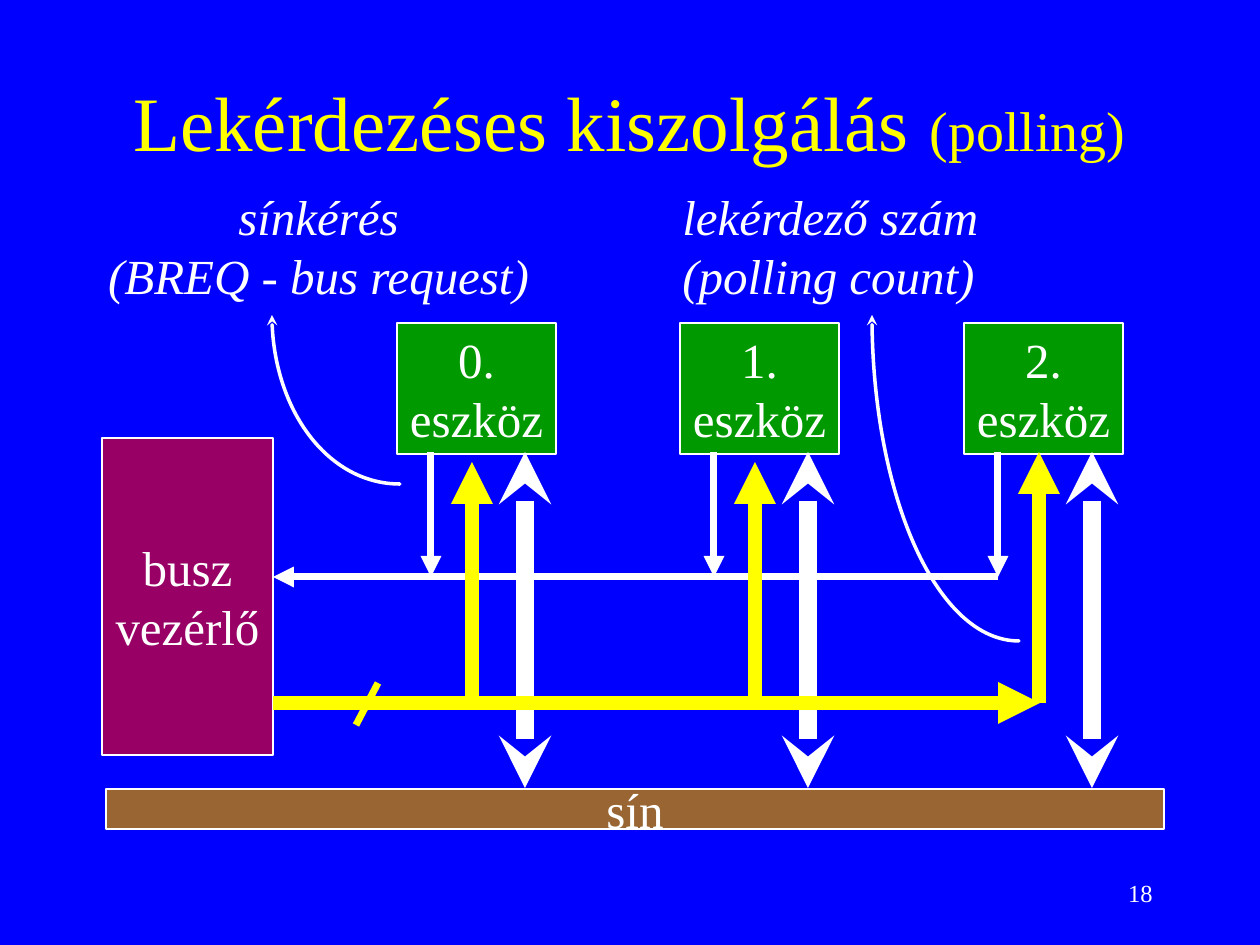
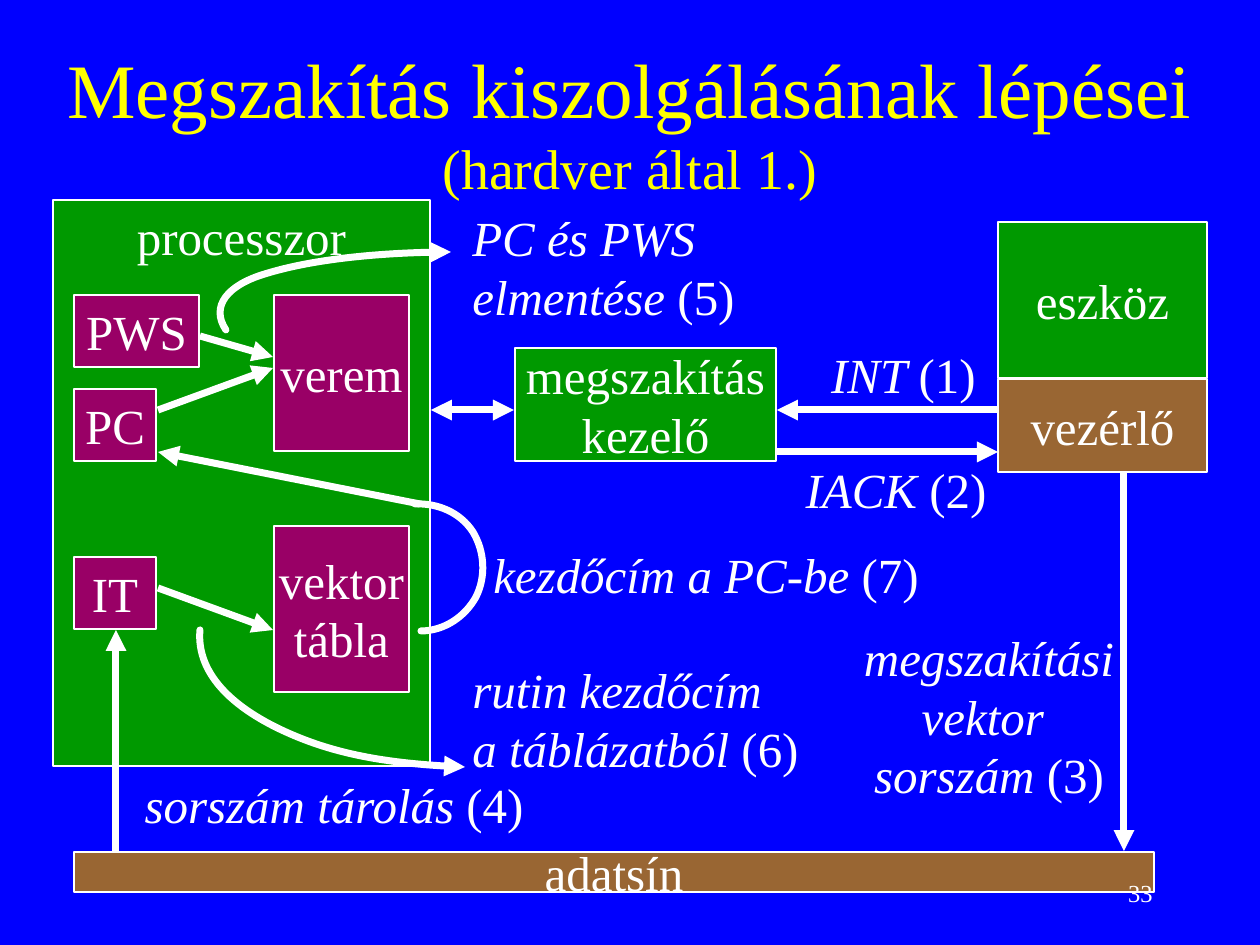
from lxml.etree import SubElement
from pptx import Presentation
from pptx.dml.color import RGBColor
from pptx.enum.shapes import MSO_CONNECTOR as Connector, MSO_SHAPE as Shape
from pptx.enum.text import MSO_ANCHOR as Anchor, MSO_AUTO_SIZE as AutoSize, PP_ALIGN as Align
from pptx.oxml.ns import qn
from pptx.util import Emu, Pt

FONT = "Times New Roman"
BLUE, YELLOW, WHITE = "0000FF", "FFFF00", "FFFFFF"
GREEN, PURPLE, BROWN = "009900", "990066", "996633"
TEXT_SIZE = 28


def px(length):
    return Emu(round(length * 914400 / 126))


def color(code):
    return RGBColor.from_string(code)


# Text
def add_span(para, text, size=TEXT_SIZE, code=WHITE, italic=False):
    span = para.add_run()
    span.text = text
    span.font.name = FONT
    span.font.size = Pt(size)
    span.font.italic = italic
    span.font.color.rgb = color(code)


def write(frame, lines, align, anchor, italic=False):
    """A line is a string, or a (words, step) pair whose step stays upright."""
    frame.word_wrap = False
    frame.vertical_anchor = anchor
    for index, line in enumerate(lines):
        para = frame.add_paragraph() if index else frame.paragraphs[0]
        para.alignment = align
        words, step = (line, "") if isinstance(line, str) else line
        add_span(para, words, italic=italic)
        if step:
            add_span(para, step)


def add_label(page, left, top, width, height, *lines, align=Align.LEFT):
    label = page.shapes.add_textbox(px(left), px(top), px(width), px(height))
    write(label.text_frame, lines, align, Anchor.TOP, italic=True)


def add_block(page, left, top, width, height, fill, *lines, anchor=Anchor.MIDDLE):
    block = page.shapes.add_shape(Shape.RECTANGLE, px(left), px(top), px(width), px(height))
    block.shadow.inherit = False
    block.fill.solid()
    block.fill.fore_color.rgb = color(fill)
    block.line.color.rgb = color(WHITE)
    block.line.width = Pt(1)
    write(block.text_frame, lines, Align.CENTER, anchor)


# Lines and curves
def style_line(stroke, code, width, head, tail):
    stroke.line.color.rgb = color(code)
    stroke.line.width = Pt(width)
    outline = stroke.element.spPr.find(qn("a:ln"))
    for tag, kind in (("a:headEnd", head), ("a:tailEnd", tail)):
        if kind:
            SubElement(outline, qn(tag), type=kind)
    return outline


def add_line(page, x1, y1, x2, y2, code=WHITE, width=4, head=None, tail="triangle"):
    line = page.shapes.add_connector(Connector.STRAIGHT, px(x1), px(y1), px(x2), px(y2))
    style_line(line, code, width, head, tail)
    SubElement(line.element.spPr, qn("a:effectLst"))


def add_curve(page, points, width=4, tail=None):
    """Each three points after the first are one cubic Bézier section."""
    start, *controls = [(px(x), px(y)) for x, y in points]
    builder = page.shapes.build_freeform(*start)
    builder.add_line_segments(controls, close=False)
    curve = builder.convert_to_shape()
    curve.shadow.inherit = False
    curve.fill.background()
    style_line(curve, WHITE, width, None, tail).set("cap", "rnd")
    outline = next(curve.element.iter(qn("a:path")))
    steps = outline.findall(qn("a:lnTo"))
    for index in range(0, len(steps), 3):
        section = SubElement(outline, qn("a:cubicBezTo"))
        for step in steps[index:index + 3]:
            section.append(step[0])
            outline.remove(step)


# Shared page frame
def add_page(deck, left, width, title, subtitle):
    page = deck.slides.add_slide(deck.slide_layouts[5])
    box = page.shapes.title
    box.left, box.top, box.width, box.height = px(left), px(42), px(width), px(158)
    frame = box.text_frame
    frame.auto_size = AutoSize.NONE
    frame.word_wrap = True
    frame.vertical_anchor = Anchor.MIDDLE
    para = frame.paragraphs[0]
    para.alignment = Align.CENTER
    add_span(para, title + " ", 44, YELLOW)
    add_span(para, subtitle, 32, YELLOW)
    return page


def add_page_number(page, number):
    """Goes on last, so that it lies above the diagram."""
    frame = page.shapes.add_textbox(px(903), px(861), px(262), px(63)).text_frame
    frame.word_wrap = True
    frame.vertical_anchor = Anchor.MIDDLE
    frame.paragraphs[0].alignment = Align.RIGHT
    add_span(frame.paragraphs[0], number, 14)


# Polling
def add_polled_device(page, left, top, name):
    add_block(page, left, top, 159, 131, GREEN, name, "eszköz", anchor=Anchor.TOP)
    data_x, request_x = left + 128, left + 34
    add_line(page, data_x, top + 129, data_x, top + 465, width=10, head="stealth", tail="stealth")
    add_line(page, request_x, top + 129, request_x, top + 254)


def build_polling(deck):
    page = add_page(deck, 94, 1071, "Lekérdezéses kiszolgálás", "(polling)")
    add_block(page, 102, 438, 171, 317, PURPLE, "busz", "vezérlő")
    add_label(page, 94, 180, 449, 131, "sínkérés", "(BREQ - bus request)", align=Align.CENTER)
    add_label(page, 670, 180, 323, 131, "lekérdező szám", "(polling count)")
    add_block(page, 106, 789, 1058, 40, BROWN, "sín")

    device_lefts = [397 + index * 567 // 2 for index in range(3)]
    for index, left in enumerate(device_lefts):
        add_polled_device(page, left, 323, f"{index}.")

    # Request line, then the polling count above it
    add_line(page, 273, 577, 998, 577, head="triangle", tail=None)
    for left, tip in zip(device_lefts, (462, 462, 452)):
        add_line(page, left + 75, 703, left + 75, tip, YELLOW, 8)
    add_line(page, 273, 703, 1040, 703, YELLOW, 8)
    add_line(page, 378, 683, 356, 725, YELLOW, tail=None)

    # Pointers to the labels
    add_curve(page, [(400, 484), (330, 484), (272, 409), (272, 315)], 2, "stealth")
    add_curve(page, [(1019, 641), (938, 641), (872, 495), (872, 315)], 2, "stealth")
    add_page_number(page, "18")


# Interrupt handling
def add_processor(page, left, top):
    add_block(page, left, top, 377, 566, GREEN, "processzor", anchor=Anchor.TOP)
    for x, y, width, height, *lines in (
        (21, 95, 125, 72, "PWS"),
        (21, 189, 82, 72, "PC"),
        (21, 357, 82, 72, "IT"),
        (221, 95, 135, 156, "verem"),
        (221, 326, 135, 166, "vektor", "tábla"),
    ):
        add_block(page, left + x, top + y, width, height, PURPLE, *lines)
    for x, y1, y2 in ((147, 136, 157), (105, 210, 168), (105, 388, 430)):
        add_line(page, left + x, top + y1, left + 220, top + y2)


def add_interrupt_source(page, left, top):
    add_block(page, left, top, 209, 156, GREEN, "eszköz")
    add_block(page, left, top + 157, 209, 93, BROWN, "vezérlő")


def build_interrupt(deck):
    page = add_page(deck, 42, 1176, "Megszakítás kiszolgálásának lépései", "(hardver által 1.)")
    add_interrupt_source(page, 998, 222)
    add_block(page, 515, 348, 261, 113, GREEN, "megszakítás", "kezelő")
    add_processor(page, 53, 200)
    add_block(page, 74, 852, 1080, 40, BROWN, "adatsín")

    # Signals
    add_line(page, 1124, 473, 1124, 851)
    add_line(page, 116, 851, 116, 630)
    add_line(page, 998, 410, 777, 410)
    add_line(page, 777, 452, 998, 452)
    add_line(page, 514, 410, 431, 410, head="triangle")
    add_line(page, 420, 504, 158, 452)

    # Saving, table lookup and the loop back to PC
    add_curve(page, [(226, 330), (210, 306), (228, 285), (265, 274),
                     (310, 260), (385, 252), (451, 252)], tail="triangle")
    add_curve(page, [(200, 630), (196, 675), (235, 712), (300, 738),
                     (345, 756), (405, 765), (465, 767)], tail="triangle")
    add_curve(page, [(415, 504), (437, 503), (460, 512), (473, 532), (485, 552),
                     (486, 577), (476, 597), (465, 617), (444, 631), (421, 631)])

    # Step labels
    add_label(page, 809, 338, 189, 72, ("INT ", "(1)"), align=Align.CENTER)
    add_label(page, 793, 453, 206, 72, ("IACK ", "(2)"), align=Align.CENTER)
    add_label(page, 851, 621, 276, 189, "megszakítási", "vektor ", ("sorszám ", "(3)"),
              align=Align.CENTER)
    add_label(page, 131, 768, 406, 72, ("sorszám tárolás ", "(4)"), align=Align.CENTER)
    add_label(page, 460, 201, 287, 131, "PC és PWS", ("elmentése", " (5)"))
    add_label(page, 460, 653, 352, 131, "rutin kezdőcím", ("a táblázatból", " (6)"))
    add_label(page, 481, 538, 451, 72, ("kezdőcím a PC-be", " (7)"))
    add_page_number(page, "33")


def main():
    deck = Presentation()
    deck.slide_width, deck.slide_height = px(1260), px(945)
    background = deck.slide_master.background.fill
    background.solid()
    background.fore_color.rgb = color(BLUE)
    build_polling(deck)
    build_interrupt(deck)
    deck.save("out.pptx")


if __name__ == "__main__":
    main()
